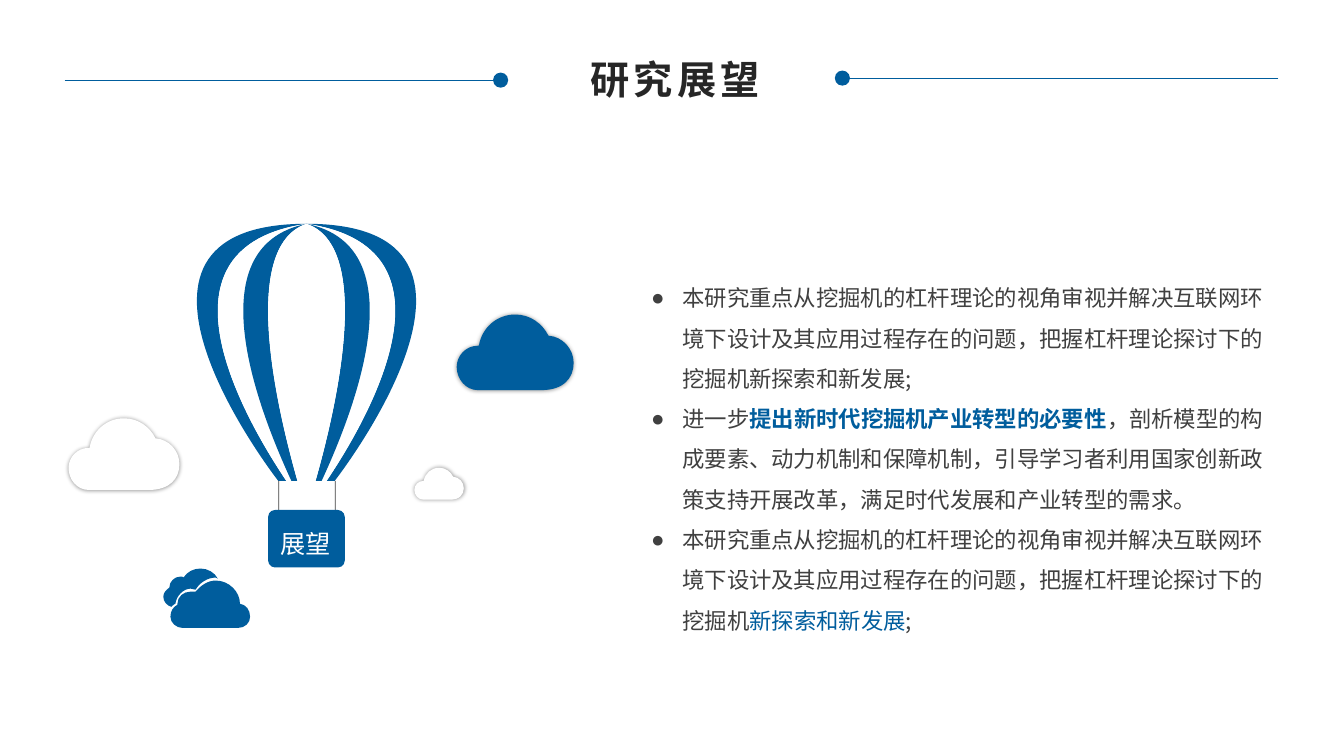
"""Build the research outlook slide with a balloon, clouds and three bullets."""
import pptx
import pptx.dml.color
import pptx.enum.shapes
import pptx.enum.text
import pptx.oxml
import pptx.oxml.ns
import pptx.util

PX = 9144
BLUE = pptx.dml.color.RGBColor(0x00, 0x5D, 0x9D)
WHITE = pptx.dml.color.RGBColor(0xFF, 0xFF, 0xFF)
GREY = pptx.dml.color.RGBColor(0x40, 0x40, 0x40)
BLACK = pptx.dml.color.RGBColor(0x26, 0x26, 0x26)
CJK = "Noto Sans CJK SC"
NS = pptx.oxml.ns.nsdecls("a")
SHAPE = pptx.enum.shapes.MSO_SHAPE


def add_outline(shapes, start, segments, color, scale=PX, dx=0, dy=0):
    """Add a filled outline whose segments are line ends or Bezier triples."""
    points = [start] + [point for seg in segments for point in seg]
    emu = [(round(x * scale + dx * PX), round(y * scale + dy * PX)) for x, y in points]
    fb = shapes.build_freeform(*emu[0])
    fb.add_line_segments(emu[1:], close=True)
    sp = fb.convert_to_shape()
    legs = iter(sp._element.findall(".//" + pptx.oxml.ns.qn("a:lnTo")))
    for seg in segments:
        group = [next(legs) for _ in seg]
        if len(group) == 3:
            curve = pptx.oxml.parse_xml(f"<a:cubicBezTo {NS}/>")
            group[0].addprevious(curve)
            for leg in group:
                curve.append(leg[0])
                leg.getparent().remove(leg)
    sp.shadow.inherit = False
    sp.fill.solid()
    sp.fill.fore_color.rgb = color
    sp.line.fill.background()
    return sp


def style_run(r, size, color, bold=False, font="Arial"):
    """Set size, colour, weight and fonts of a run."""
    r.font.size = pptx.util.Pt(size)
    r.font.color.rgb = color
    r.font.bold = bold
    r.font.name = font
    r.font._element.append(pptx.oxml.parse_xml(f'<a:ea {NS} typeface="{CJK}"/>'))


prs = pptx.Presentation()
prs.slide_width = 1333 * PX
prs.slide_height = 750 * PX
s = prs.slides.add_slide(prs.slide_layouts[6])

for outer, inner, dot_left, y in ((64, 489, 489, 80), (1268, 843, 828, 78)):
    rule = s.shapes.add_group_shape()
    line = rule.shapes.add_connector(
        pptx.enum.shapes.MSO_CONNECTOR.STRAIGHT, outer * PX, y * PX, inner * PX, y * PX)
    line.line.color.rgb = BLUE
    line.line.width = pptx.util.Pt(0.25)
    line._element.spPr.append(pptx.oxml.parse_xml(f"<a:effectLst {NS}/>"))
    dot = rule.shapes.add_shape(SHAPE.OVAL, dot_left * PX, (y - 8) * PX, 15 * PX, 15 * PX)
    dot.shadow.inherit = False
    dot.fill.solid()
    dot.fill.fore_color.rgb = BLUE
    dot.line.fill.background()

balloon = s.shapes.add_group_shape()
AXIS, TOP = 304, 222
SEAMS = (
    ((227, 222), (28, 477), (28, 477)),
    ((157, 245), (65, 410), (20, 477)),
    ((112, 245), (46, 410), (15, 477)),
    ((68, 245), (28, 410), (9, 477)),
)
for side in (-1, 1):
    seams = [[(AXIS + side * x, y) for x, y in seam] for seam in SEAMS]
    for outer, inner, color in zip(seams, seams[1:], (BLUE, WHITE, BLUE)):
        stripe = (outer, (inner[2],), (inner[1], inner[0], (AXIS, TOP)))
        add_outline(balloon.shapes, (AXIS, TOP), stripe, color)
    add_outline(balloon.shapes, (AXIS, TOP), (seams[-1], ((AXIS, 477),)), WHITE)

for kind, left, top, width, height, color in (
    (SHAPE.RECTANGLE, 276, 477, 1, 29, GREY),
    (SHAPE.RECTANGLE, 332, 477, 1, 29, GREY),
    (SHAPE.ROUNDED_RECTANGLE, 266, 506, 76, 57, BLUE),
):
    part = balloon.shapes.add_shape(kind, left * PX, top * PX, width * PX, height * PX)
    part.shadow.inherit = False
    part.fill.solid()
    part.fill.fore_color.rgb = color
    part.line.fill.background()
    if kind == SHAPE.ROUNDED_RECTANGLE:
        part.adjustments[0] = 0.12

CLOUD = (
    ((85, 9), (73, 0), (58, 0)),
    ((40, 0), (25, 13), (22, 31)),
    ((21, 31),),
    ((9, 31), (0, 41), (0, 52)),
    ((0, 64), (9, 75), (21, 75)),
    ((84, 75),),
    ((106, 75), (116, 63), (116, 48)),
    ((116, 34), (105, 22), (91, 21)),
)
for left, top, width, color in ((411, 464, 49, WHITE), (453, 312, 116, BLUE), (68, 415, 110, WHITE)):
    cloud = add_outline(s.shapes, (91, 21), CLOUD, color, PX * width / 116, left, top)
    effects = cloud._element.spPr.find(pptx.oxml.ns.qn("a:effectLst"))
    effects.append(pptx.oxml.parse_xml(
        f'<a:outerShdw {NS} blurRad="38100" dist="0" dir="0" algn="ctr" rotWithShape="0">'
        '<a:srgbClr val="000000"><a:alpha val="40000"/></a:srgbClr></a:outerShdw>'))

BACK_CLOUD = (
    ((175, 591), (182, 584), (189, 584)),
    ((191, 584), (192, 584), (194, 585)),
    ((198, 578), (206, 573), (214, 573)),
    ((215, 573), (215, 574), (216, 574)),
    ((213, 568), (206, 564), (199, 564)),
    ((192, 564), (186, 567), (182, 573)),
    ((182, 572), (180, 572), (179, 572)),
    ((173, 572), (168, 577), (168, 583)),
    ((165, 585), (162, 588), (162, 592)),
    ((162, 597), (166, 601), (170, 602)),
    ((172, 600), (173, 599), (174, 599)),
)
FRONT_CLOUD = (
    ((238, 587), (227, 576), (214, 576)),
    ((206, 576), (199, 581), (194, 587)),
    ((193, 587), (191, 587), (189, 587)),
    ((182, 587), (176, 592), (176, 599)),
    ((176, 600),),
    ((172, 602), (169, 606), (169, 612)),
    ((169, 618), (175, 623), (181, 623)),
    ((236, 623),),
    ((243, 623), (248, 618), (248, 612)),
    ((248, 605), (244, 600), (238, 599)),
)
cloud_pair = s.shapes.add_group_shape()
add_outline(cloud_pair.shapes, (174, 599), BACK_CLOUD, BLUE)
add_outline(cloud_pair.shapes, (238, 599), FRONT_CLOUD, BLUE)

for text, left, top, width, height, size, color, bold, align, spacing in (
    ("研究展望", 572, 50, 195, 57, 28, BLACK, True, pptx.enum.text.PP_ALIGN.CENTER, 300),
    ("展望", 268, 519, 71, 40, 18, WHITE, False, pptx.enum.text.PP_ALIGN.LEFT, 0),
):
    tf = s.shapes.add_textbox(left * PX, top * PX, width * PX, height * PX).text_frame
    tf.word_wrap = False
    tf.auto_size = pptx.enum.text.MSO_AUTO_SIZE.SHAPE_TO_FIT_TEXT
    tf.text = text
    p = tf.paragraphs[0]
    p.alignment = align
    style_run(p.runs[0], size, color, bold)
    p.runs[0].font._element.set("spc", str(spacing))

FOCUS = "本研究重点从挖掘机的杠杆理论的视角审视并解决互联网环境下设计及其应用过程存在的问题，把握杠杆理论探讨下的挖掘机"
PROGRESS = "新探索和新发展"
BULLETS = (
    ((FOCUS + PROGRESS + ";", GREY, False),),
    (("进一步", GREY, False),
     ("提出新时代挖掘机产业转型的必要性", BLUE, True),
     ("，剖析模型的构成要素、动力机制和保障机制，引导学习者利用国家创新政策支持开展改革，满足时代发展和产业转型的需求。", GREY, False)),
    ((FOCUS, GREY, False), (PROGRESS, BLUE, False), (";", GREY, False)),
)
tf = s.shapes.add_textbox(636 * PX, 264 * PX, 643 * PX, 374 * PX).text_frame
tf.word_wrap = True
tf.auto_size = pptx.enum.text.MSO_AUTO_SIZE.SHAPE_TO_FIT_TEXT
for i, bullet in enumerate(BULLETS):
    p = tf.add_paragraph() if i else tf.paragraphs[0]
    p.line_spacing = 1.5
    pPr = p._p.get_or_add_pPr()
    pPr.set("marL", str(31 * PX))
    pPr.set("indent", str(-31 * PX))
    pPr.append(pptx.oxml.parse_xml(f'<a:buFont {NS} typeface="Arial"/>'))
    pPr.append(pptx.oxml.parse_xml(f'<a:buChar {NS} char="●"/>'))
    for text, color, bold in bullet:
        r = p.add_run()
        r.text = text
        style_run(r, 16, color, bold, CJK)

prs.save("out.pptx")
